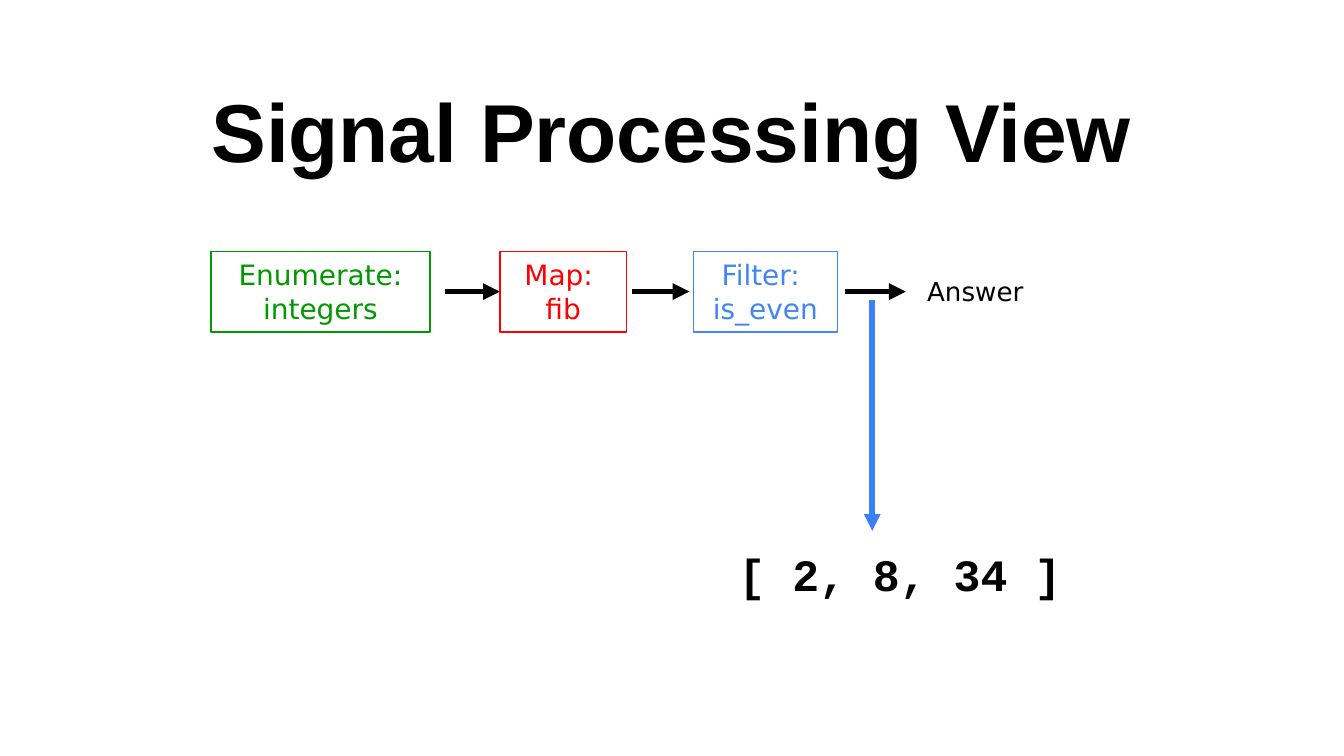
from pptx import Presentation
from pptx.dml.color import RGBColor
from pptx.enum.shapes import MSO_CONNECTOR as Conn, MSO_SHAPE as Shape
from pptx.enum.text import MSO_ANCHOR as Anchor, PP_ALIGN as Align
from pptx.oxml.ns import qn
from pptx.util import Inches, Pt
from lxml.etree import SubElement

TOP, HIGH = 1.87, 0.6
MID = TOP + HIGH / 2
SANS = "DejaVu Sans"
STAGES = [
    (1.57, 1.63, "Enumerate: integers", "009900"),
    (3.72, 0.94, "Map: \nfib", "FF0000"),
    (5.16, 1.07, "Filter: \nis_even", "4285F4"),
]


def color(code):
    return RGBColor.from_string(code)


def write(shape, text, font, size, code, bold=False, align=Align.CENTER):
    frame = shape.text_frame
    frame.word_wrap = True
    frame.text = text
    for para in frame.paragraphs:
        para.alignment = align
        for run in para.runs:
            run.font.name = font
            run.font.size = Pt(size)
            run.font.bold = bold
            run.font.color.rgb = color(code)


def add_text(slide, left, top, width, height, text, *style, **more):
    box = slide.shapes.add_textbox(*map(Inches, (left, top, width, height)))
    write(box, text, *style, **more)
    return box


def add_stage(slide, left, width, text, code):
    box = slide.shapes.add_shape(
        Shape.RECTANGLE, *map(Inches, (left, TOP, width, HIGH)))
    box.shadow.inherit = False
    box.fill.background()
    box.line.color.rgb = color(code)
    box.line.width = Pt(0.75)
    box.text_frame.vertical_anchor = Anchor.MIDDLE
    write(box, text, SANS, 15, code)
    return box


def add_arrow(slide, x1, y1, x2, y2, code="000000"):
    arrow = slide.shapes.add_connector(
        Conn.STRAIGHT, *map(Inches, (x1, y1, x2, y2)))
    arrow.line.color.rgb = color(code)
    arrow.line.width = Pt(3)
    SubElement(arrow.line._get_or_add_ln(), qn("a:tailEnd"), type="triangle")
    SubElement(arrow._element.spPr, qn("a:effectLst"))
    return arrow


def main():
    deck = Presentation()
    deck.slide_width = Inches(10)
    deck.slide_height = deck.slide_width * 9 // 16
    slide = deck.slides.add_slide(deck.slide_layouts[6])

    title = add_text(slide, 0.34, 0.5, 9.32, 0.89, "Signal Processing View",
                     "Arial", 44, "000000", bold=True)
    title.text_frame.margin_top = title.text_frame.margin_bottom = Inches(0.1)

    _, fib, _ = [add_stage(slide, *stage) for stage in STAGES]
    feed, _, _ = [add_arrow(slide, x1, MID, x2, MID)
                  for x1, x2 in [(3.31, 3.72), (4.7, 5.13), (6.29, 6.74)]]
    feed.end_connect(fib, 1)

    add_text(slide, 5.15, 4.02, 3.09, 0.5, "[ 2, 8, 34 ]",
             "Courier New", 24, "000000", bold=True)
    add_arrow(slide, 6.49, 2.23, 6.49, 3.95, "3C81F3")
    add_text(slide, 6.8, 2, 1.63, 0.34, "Answer", SANS, 14, "000000",
             align=Align.LEFT)

    deck.save("out.pptx")


if __name__ == "__main__":
    main()
